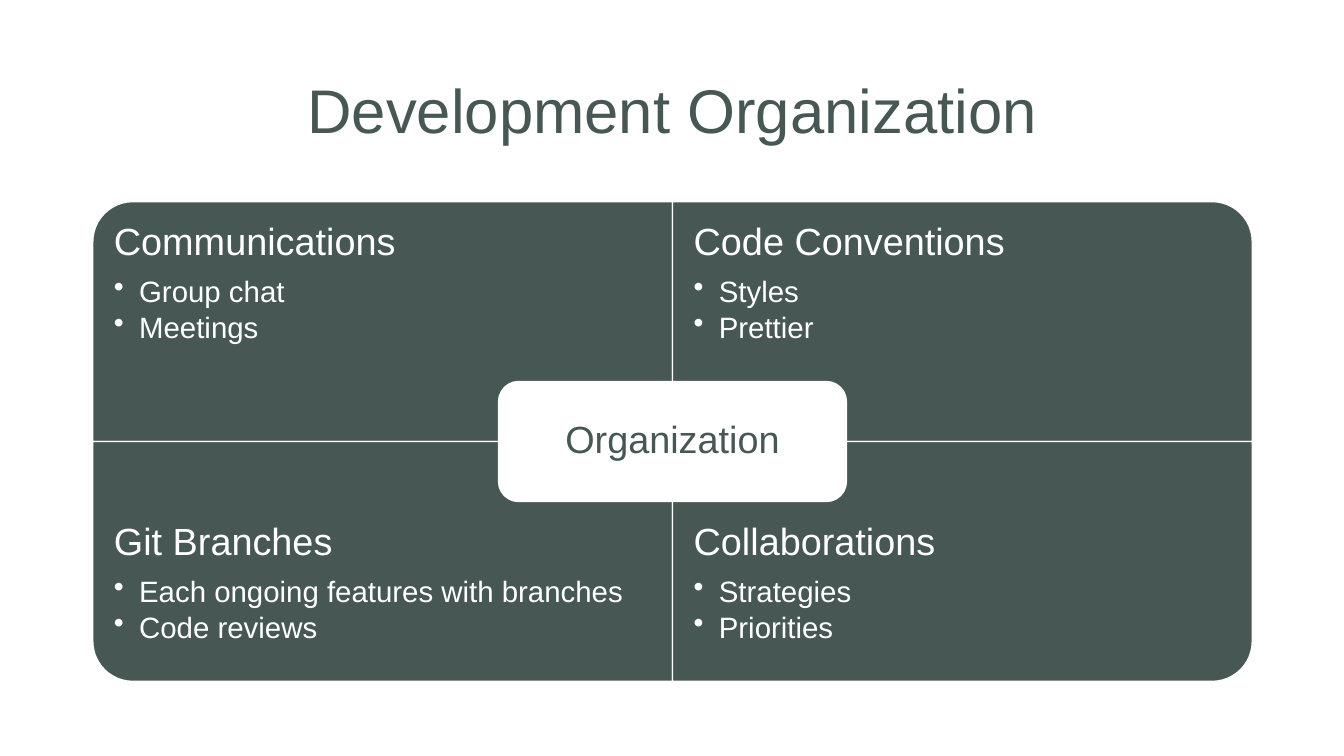
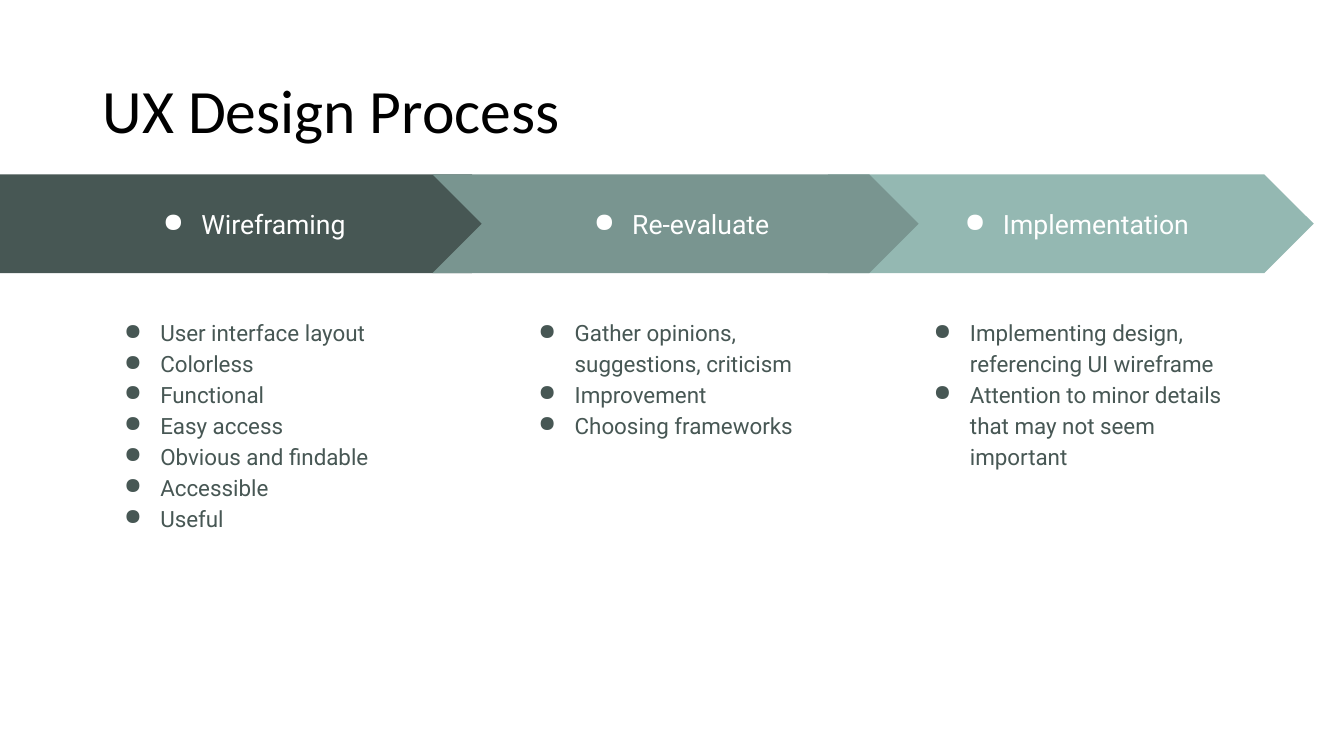
from lxml import etree
from pptx import Presentation, util as u
from pptx.dml.color import RGBColor
from pptx.enum import shapes, text
from pptx.oxml.ns import qn

COLORS = {"dark": "475754", "mid": "799590", "light": "94B8B2",
          "white": "FFFFFF", "black": "000000"}
SHAPE = shapes.MSO_SHAPE
ALIGN = text.PP_ALIGN
MIDDLE = text.MSO_ANCHOR.MIDDLE
TOP = text.MSO_ANCHOR.TOP

prs = Presentation()
prs.slide_width = u.Inches(13.33)
prs.slide_height = u.Inches(7.5)


def add_box(s, x, y, w, h, kind=None, fill=None, line=None, adj=None):
    at = [u.Inches(v) for v in (x, y, w, h)]
    if kind is None:
        sp = s.shapes.add_textbox(*at)
    else:
        sp = s.shapes.add_shape(kind, *at)
        sp.shadow.inherit = False
        sp.adjustments[0] = adj
        sp.fill.solid()
        sp.fill.fore_color.rgb = RGBColor.from_string(COLORS[fill])
        if line:
            sp.line.color.rgb = RGBColor.from_string(COLORS[line])
            sp.line.width = u.Pt(1)
        else:
            sp.line.fill.background()
    return sp


def write(sp, lines, inset, anchor=TOP):
    tf = sp.text_frame
    frame = {"word_wrap": True, "vertical_anchor": anchor,
             "margin_left": u.Inches(inset[0]), "margin_right": u.Inches(inset[0]),
             "margin_top": u.Inches(inset[1]), "margin_bottom": u.Inches(inset[1])}
    for name, value in frame.items():
        setattr(tf, name, value)
    for i, (words, style) in enumerate(lines):
        p = tf.paragraphs[0] if i == 0 else tf.add_paragraph()
        para = {"alignment": style.get("align", ALIGN.LEFT),
                "line_spacing": style.get("spacing", 1.0),
                "space_before": u.Pt(style.get("before", 0))}
        for name, value in para.items():
            setattr(p, name, value)
        r = p.add_run()
        r.text = words
        for name, value in {"size": u.Pt(style["size"]), "name": style["font"]}.items():
            setattr(r.font, name, value)
        r.font.color.rgb = RGBColor.from_string(COLORS[style["color"]])
        if "bullet" in style:
            char, margin, hang = style["bullet"]
            pPr = p._p.get_or_add_pPr()
            pPr.set("marL", str(u.Inches(margin)))
            pPr.set("indent", str(-u.Inches(hang)))
            color = etree.SubElement(pPr, qn("a:buClr"))
            etree.SubElement(color, qn("a:srgbClr"), val=COLORS[style["color"]])
            etree.SubElement(pPr, qn("a:buChar"), char=char)


LEFT = 0.92
COL, ROW = 5.75, 2.38
GRID_TOP = 2
TEXT_H = ROW * 0.75

heading = {"size": 27, "font": "Arial", "color": "white", "spacing": 0.9}
point = {**heading, "size": 21, "bullet": ("•", 0.25, 0.25), "before": 3.1}
center = {**heading, "color": "dark", "align": ALIGN.CENTER}
stage = {"size": 19, "font": "Roboto", "color": "white", "align": ALIGN.CENTER,
         "bullet": ("●", 0.5, 0.38)}
detail = {"size": 16, "font": "Roboto", "color": "dark", "spacing": 1.15,
          "bullet": ("●", 0.5, 0.36)}

titles = [
    ("Development Organization", {**center, "size": 44}),
    ("UX Design Process", {"size": 44, "font": "Calibri", "color": "black", "spacing": 0.9}),
]
slides = []
for title in titles:
    s = prs.slides.add_slide(prs.slide_layouts[6])
    write(add_box(s, LEFT, 0.4, 2 * COL, 1.45), [title], (0.1, 0.05), MIDDLE)
    slides.append(s)

organization, process = slides

quadrants = [
    (0, 0, 270, "Communications", ["Group chat", "Meetings"]),
    (1, 0, 0, "Code Conventions", ["Styles", "Prettier"]),
    (0, 1, 180, "Git Branches", ["Each ongoing features with branches", "Code reviews"]),
    (1, 1, 90, "Collaborations", ["Strategies", "Priorities"]),
]
for col, row, angle, name, points in quadrants:
    x, y = LEFT + col * COL, GRID_TOP + row * ROW
    w, h = (ROW, COL) if angle % 180 else (COL, ROW)
    sp = add_box(organization, x + (COL - w) / 2, y + (ROW - h) / 2, w, h,
                 SHAPE.ROUND_1_RECTANGLE, "dark", "white", 0.167)
    sp.rotation = angle
    lines = [(name, heading), (points[0], {**point, "before": 9.4})]
    lines += [(words, point) for words in points[1:]]
    label = add_box(organization, x, y + row * (ROW - TEXT_H), COL, TEXT_H)
    write(label, lines, (0.21, 0.21))

HUB_W, HUB_H = COL * 0.6, ROW / 2
hub = add_box(organization, LEFT + COL - HUB_W / 2, GRID_TOP + ROW - HUB_H / 2,
              HUB_W, HUB_H, SHAPE.ROUNDED_RECTANGLE, "white", "white", 0.167)
write(hub, [("Organization", center)], (0.11, 0.11), MIDDLE)

STEP = 3.92
BAND_TOP, BAND_H = 1.73, 0.98
stages = [
    (2, 8.21, 4.82, SHAPE.CHEVRON, "light", "Implementation",
     ["Implementing design, referencing UI wireframe",
      "Attention to minor details that may not seem important"]),
    (0, 0, 5.17, SHAPE.PENTAGON, "dark", "Wireframing",
     ["User interface layout", "Colorless", "Functional", "Easy access",
      "Obvious and findable", "Accessible", "Useful"]),
    (1, 4.29, 4.82, SHAPE.CHEVRON, "mid", "Re-evaluate",
     ["Gather opinions, suggestions, criticism", "Improvement", "Choosing frameworks"]),
]
for col, x, w, kind, fill, name, details in stages:
    arrow = add_box(process, x, BAND_TOP, w, BAND_H, kind, fill, adj=0.5)
    write(arrow, [(name, stage)], (0.13, 0.13), MIDDLE)
    text_x = x + 0.78 if col else 0.96
    notes = add_box(process, text_x, 3, STEP / 1.2, 3.81)
    write(notes, [(words, detail) for words in details], (0.13, 0.13))

prs.save("out.pptx")
